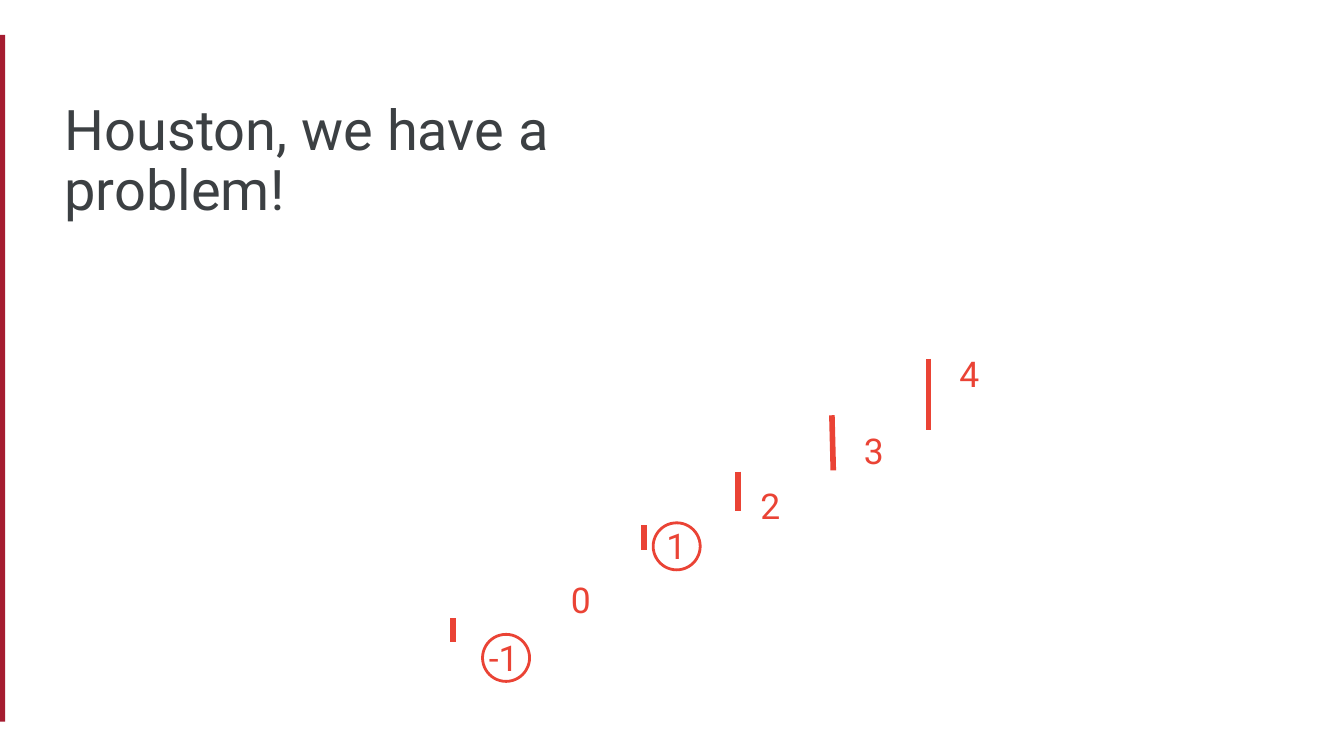
from dataclasses import dataclass

from lxml.etree import SubElement
from pptx import Presentation
from pptx.dml.color import RGBColor
from pptx.enum.shapes import MSO_CONNECTOR as Connector, MSO_SHAPE as Shape
from pptx.enum.text import MSO_ANCHOR as Anchor, PP_ALIGN as Align
from pptx.oxml.ns import qn
from pptx.util import Inches, Pt

COLORS = {"accent": "A51C30", "title": "3C4043", "residual": "EA4335"}
FONT = "Roboto"
SLIDE_WIDTH = 10
SLIDE_HEIGHT = SLIDE_WIDTH * 9 / 16
INSET = 0.1
LABEL_SIZE = (0.7, 0.52)
RING_DIAMETER = 0.35


@dataclass(frozen=True)
class ResidualBar:
    x: float
    top: float
    bottom: float
    lean: float = 0


@dataclass(frozen=True)
class ResidualLabel:
    value: int
    left: float
    top: float


@dataclass(frozen=True)
class Ring:
    left: float
    top: float


BARS = [
    ResidualBar(3.37, 4.6, 4.78),
    ResidualBar(4.79, 3.91, 4.09),
    ResidualBar(5.49, 3.51, 3.8),
    ResidualBar(6.19, 3.09, 3.5, lean=0.01),
    ResidualBar(6.91, 2.67, 3.2),
]
LABELS = [
    ResidualLabel(-1, 3.54, 4.63),
    ResidualLabel(0, 4.15, 4.2),
    ResidualLabel(1, 4.86, 3.8),
    ResidualLabel(2, 5.56, 3.5),
    ResidualLabel(3, 6.33, 3.09),
    ResidualLabel(4, 7.04, 2.52),
]
RINGS = [Ring(3.59, 4.72), Ring(4.86, 3.89)]


def rgb(name: str) -> RGBColor:
    return RGBColor.from_string(COLORS[name])


def write_text(frame, text: str, *, size: float, color: str,
               spacing: float = 1.0) -> None:
    frame.word_wrap = True
    frame.vertical_anchor = Anchor.TOP
    frame.margin_left = frame.margin_right = Inches(INSET)
    frame.margin_top = frame.margin_bottom = Inches(INSET)
    paragraph = frame.paragraphs[0]
    paragraph.alignment = Align.LEFT
    paragraph.line_spacing = spacing
    run = paragraph.add_run()
    run.text = text
    run.font.name = FONT
    run.font.size = Pt(size)
    run.font.color.rgb = rgb(color)


def draw_bar(shapes, bar: ResidualBar) -> None:
    line = shapes.add_connector(
        Connector.STRAIGHT, Inches(bar.x), Inches(bar.top),
        Inches(bar.x + bar.lean), Inches(bar.bottom))
    line.line.color.rgb = rgb("residual")
    line.line.width = Pt(3)
    SubElement(line._element.spPr, qn("a:effectLst"))


def draw_label(shapes, label: ResidualLabel) -> None:
    width, height = LABEL_SIZE
    box = shapes.add_textbox(Inches(label.left), Inches(label.top),
                             Inches(width), Inches(height))
    write_text(box.text_frame, str(label.value), size=19, color="residual")


def draw_ring(shapes, ring: Ring) -> None:
    circle = shapes.add_shape(Shape.OVAL, Inches(ring.left), Inches(ring.top),
                              Inches(RING_DIAMETER), Inches(RING_DIAMETER))
    circle.shadow.inherit = False
    circle.fill.background()
    circle.line.color.rgb = rgb("residual")
    circle.line.width = Pt(1.5)


def main() -> None:
    deck = Presentation()
    deck.slide_width = Inches(SLIDE_WIDTH)
    deck.slide_height = Inches(SLIDE_HEIGHT)
    slide = deck.slides.add_slide(deck.slide_layouts[5])
    shapes = slide.shapes

    # Accent strip on the left edge
    strip = shapes.add_shape(Shape.RECTANGLE, Inches(-0.02), Inches(0.26),
                             Inches(0.06), Inches(5.11))
    strip.shadow.inherit = False
    strip.fill.solid()
    strip.fill.fore_color.rgb = rgb("accent")
    strip.line.fill.background()

    # Title
    title = shapes.title
    title.left, title.top = Inches(0.38), Inches(0.66)
    title.width, title.height = Inches(4.23), Inches(1.06)
    write_text(title.text_frame, "Houston, we have a problem!", size=30,
               color="title", spacing=0.9)

    # Residual bars with their values
    for bar in BARS:
        draw_bar(shapes, bar)
    for label in LABELS:
        draw_label(shapes, label)

    # Rings around the values -1 and 1
    for ring in RINGS:
        draw_ring(shapes, ring)

    deck.save("out.pptx")


if __name__ == "__main__":
    main()
